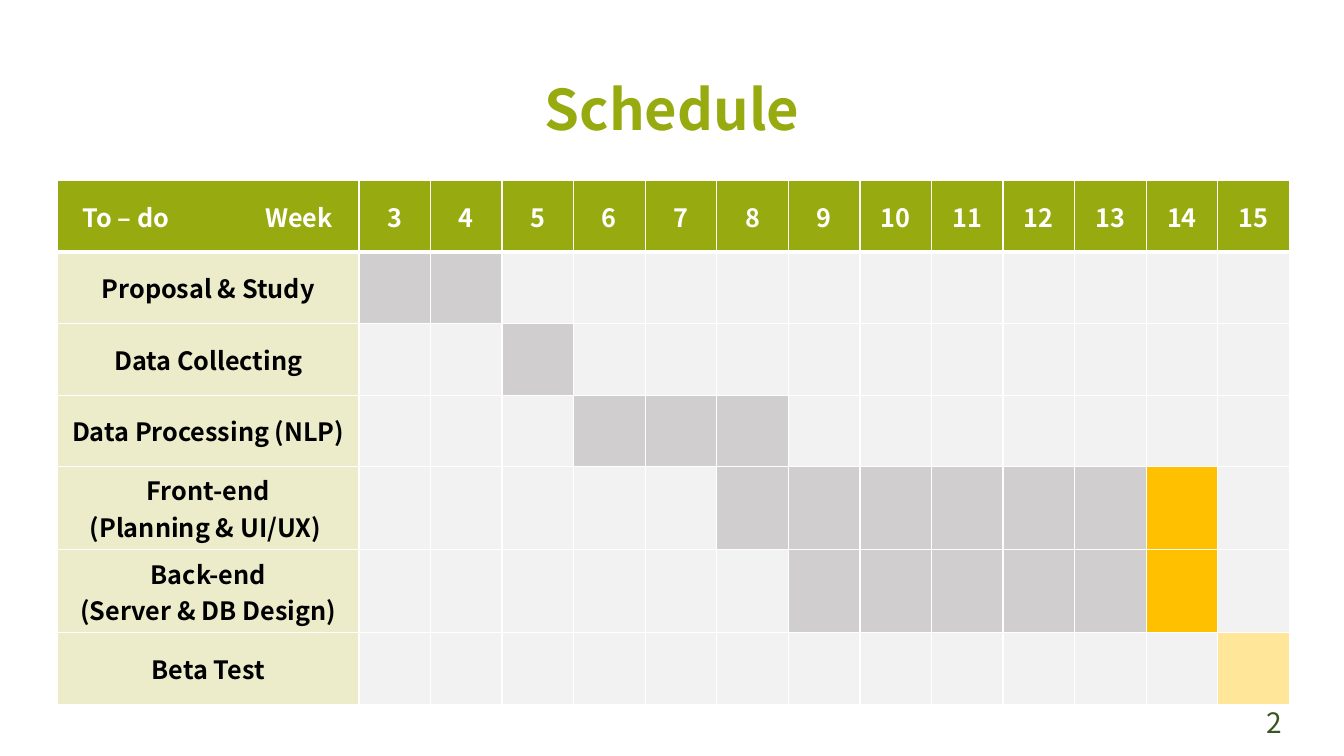
from dataclasses import dataclass
from lxml.etree import SubElement
from pptx import Presentation
from pptx.dml.color import RGBColor
from pptx.enum.text import MSO_ANCHOR as Anchor, PP_ALIGN as Align
from pptx.oxml.ns import qn
from pptx.util import Inches, Pt

TITLE = "Schedule"
PAGE = "2"
CORNER = "To – do\tWeek"
WEEKS = range(3, 16)
TASKS = [
    ("Proposal & Study", {"done": (3, 4)}),
    ("Data Collecting", {"done": (5, 5)}),
    ("Data Processing (NLP)", {"done": (6, 8)}),
    ("Front-end\n(Planning & UI/UX)\u00a0", {"done": (8, 13), "current": (14, 14)}),
    ("Back-end\n(Server & DB Design)", {"done": (9, 13), "current": (14, 14)}),
    ("Beta Test", {"next": (15, 15)}),
]


@dataclass(frozen=True)
class Theme:
    font: str = "Noto Sans CJK KR"
    green: str = "97AA0F"
    label: str = "ECEBCA"
    idle: str = "F2F2F2"
    done: str = "D0CECE"
    current: str = "FFC000"
    next: str = "FFE699"
    white: str = "FFFFFF"
    black: str = "000000"
    page: str = "375623"
    title_size: int = 40
    table_size: int = 18
    page_size: int = 20


THEME = Theme()
LEFT, TOP = 0.57, 1.79
LABEL_WIDTH, WEEK_WIDTH, ROW_HEIGHT = 2.99, 0.71, 0.71
CORNER_INSET, CORNER_TAB = 0.25, 2.48


def write(frame, text, size, color, bold=False, align=Align.CENTER, spacing=None, tab=None):
    frame.text = text
    for paragraph in frame.paragraphs:
        paragraph.alignment = align
        if spacing:
            paragraph.line_spacing = Pt(spacing)
        if tab:
            tabs = SubElement(paragraph._p.get_or_add_pPr(), qn("a:tabLst"))
            SubElement(tabs, qn("a:tab"), pos=str(Inches(tab)), algn="r")
        for run in paragraph.runs:
            run.font.name = THEME.font
            run.font.size = Pt(size)
            run.font.bold = bold
            run.font.color.rgb = RGBColor.from_string(color)


def paint(cell, color, bottom=1):
    properties = cell._tc.get_or_add_tcPr()
    for side, width in (("lnL", 1), ("lnR", 1), ("lnT", 1), ("lnB", bottom)):
        border = SubElement(properties, qn(f"a:{side}"), w=str(Pt(width)))
        SubElement(SubElement(border, qn("a:solidFill")), qn("a:srgbClr"), val=THEME.white)
    cell.fill.solid()
    cell.fill.fore_color.rgb = RGBColor.from_string(color)
    cell.vertical_anchor = Anchor.MIDDLE


def week_color(week, spans):
    for status, (first, last) in spans.items():
        if first <= week <= last:
            return getattr(THEME, status)
    return THEME.idle


def add_title(slide):
    title = slide.shapes.title
    title.left, title.top = Inches(0), Inches(0.82)
    title.width, title.height = Inches(13.33), Inches(0.58)
    frame = title.text_frame
    frame.margin_left = frame.margin_right = frame.margin_top = frame.margin_bottom = 0
    frame.vertical_anchor = Anchor.TOP
    write(frame, TITLE, THEME.title_size, THEME.green, bold=True, spacing=42)


def add_schedule(slide):
    rows, columns = len(TASKS) + 1, len(WEEKS) + 1
    schedule = slide.shapes.add_table(
        rows, columns, Inches(LEFT), Inches(TOP),
        Inches(LABEL_WIDTH + WEEK_WIDTH * len(WEEKS)), Inches(ROW_HEIGHT * rows),
    ).table
    schedule.horz_banding = False
    for index, column in enumerate(schedule.columns):
        column.width = Inches(WEEK_WIDTH if index else LABEL_WIDTH)
    for row in schedule.rows:
        row.height = Inches(ROW_HEIGHT)

    corner = schedule.cell(0, 0)
    paint(corner, THEME.green, bottom=3)
    corner.margin_left = Inches(CORNER_INSET)
    write(corner.text_frame, CORNER, THEME.table_size, THEME.white, bold=True,
          align=Align.LEFT, tab=CORNER_TAB)
    for column, week in enumerate(WEEKS, 1):
        heading = schedule.cell(0, column)
        paint(heading, THEME.green, bottom=3)
        write(heading.text_frame, str(week), THEME.table_size, THEME.white, bold=True)

    for row, (task, spans) in enumerate(TASKS, 1):
        label = schedule.cell(row, 0)
        paint(label, THEME.label)
        write(label.text_frame, task, THEME.table_size, THEME.black, bold=True)
        for column, week in enumerate(WEEKS, 1):
            paint(schedule.cell(row, column), week_color(week, spans))


def add_page_number(slide):
    page = slide.shapes.add_textbox(Inches(12.46), Inches(6.95), Inches(0.75), Inches(0.4))
    page.text_frame.word_wrap = True
    write(page.text_frame, PAGE, THEME.page_size, THEME.page, align=Align.LEFT)


def main():
    deck = Presentation()
    deck.slide_width, deck.slide_height = Inches(13.33), Inches(7.5)
    slide = deck.slides.add_slide(deck.slide_layouts[5])
    add_title(slide)
    add_schedule(slide)
    add_page_number(slide)
    deck.save("out.pptx")


if __name__ == "__main__":
    main()
